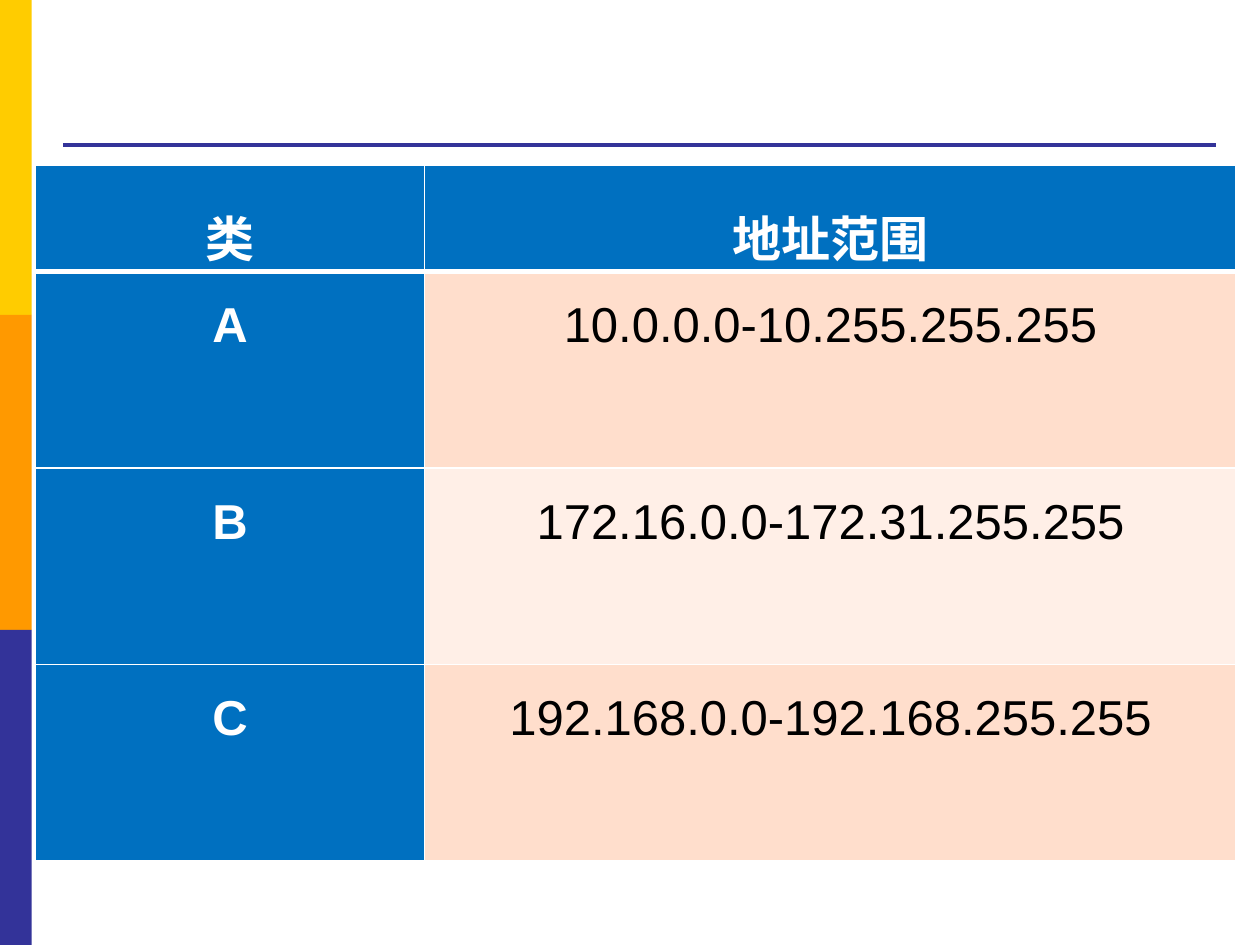
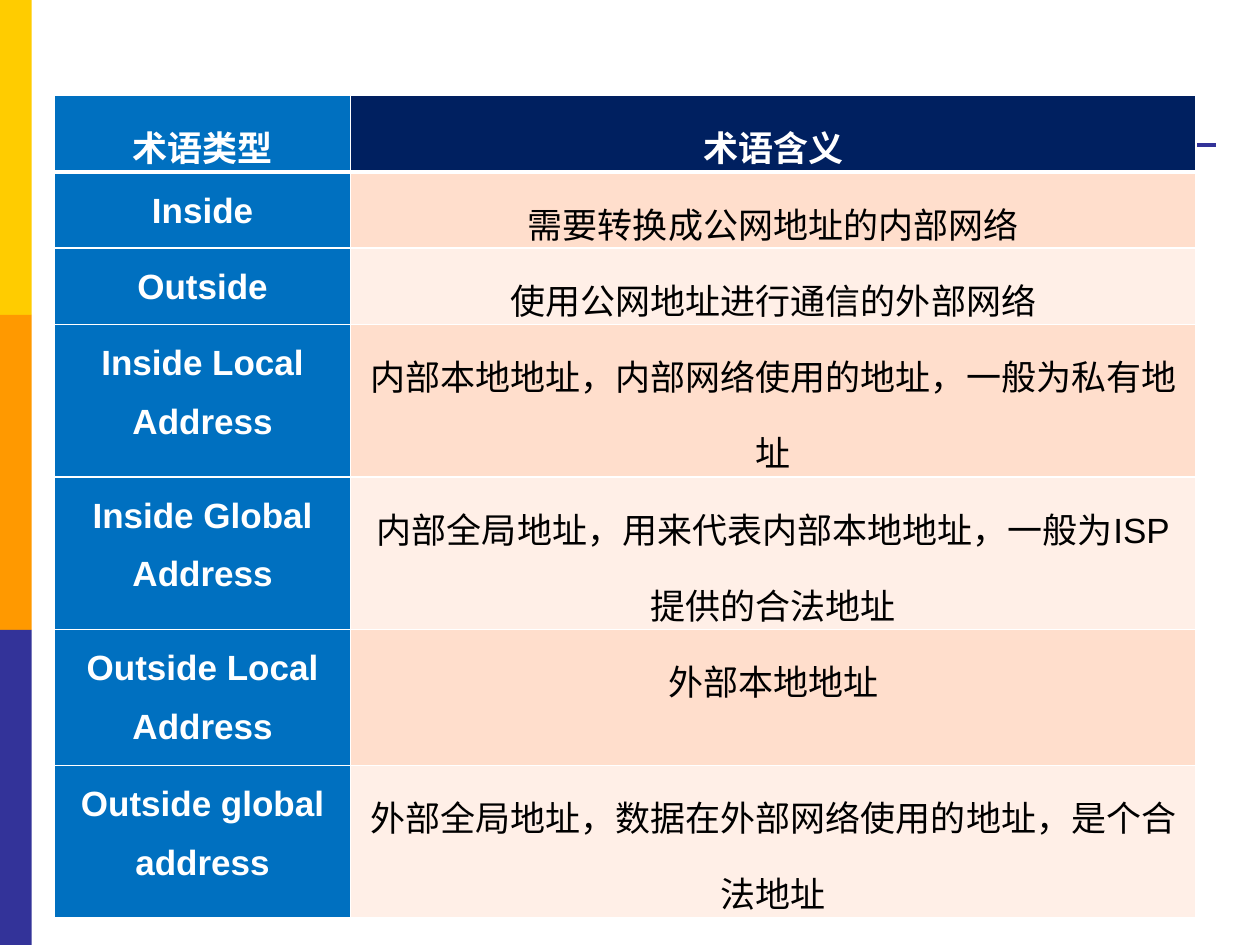
from lxml.etree import SubElement
from pptx import Presentation
from pptx.dml.color import RGBColor
from pptx.enum.shapes import MSO_CONNECTOR, MSO_SHAPE
from pptx.enum.text import PP_ALIGN
from pptx.oxml.ns import qn
from pptx.util import Cm, Pt

WHITE, BLACK = "FFFFFF", "000000"
GOLD, ORANGE, INDIGO = "FFCC00", "FF9900", "333399"
BLUE, NAVY = "0070C0", "002060"
BANDS = ("FFDECC", "FFEFE7")
WIDTH, HEIGHT = 25.4, 19.05


def color(code):
    return RGBColor.from_string(code)


class Deck:
    font = "Arial"

    def __init__(self):
        self.file = Presentation()
        self.file.slide_width = Cm(WIDTH)
        self.file.slide_height = Cm(HEIGHT)
        self.slide = None

    def page(self):
        self.slide = self.file.slides.add_slide(self.file.slide_layouts[6])
        part = HEIGHT / 3
        for spot, code in enumerate((GOLD, ORANGE, INDIGO)):
            self.block(0, spot * part, 0.64, part, code)
        self.rule(1.27, 24.51, 2.92)

    def block(self, left, top, width, height, code):
        shape = self.slide.shapes.add_shape(
            MSO_SHAPE.RECTANGLE, Cm(left), Cm(top), Cm(width), Cm(height))
        shape.shadow.inherit = False
        shape.fill.solid()
        shape.fill.fore_color.rgb = color(code)
        shape.line.fill.background()

    def rule(self, start, end, top):
        line = self.slide.shapes.add_connector(
            MSO_CONNECTOR.STRAIGHT, Cm(start), Cm(top), Cm(end), Cm(top))
        line.line.color.rgb = color(INDIGO)
        line.line.width = Pt(2.25)
        SubElement(line._element.spPr, qn("a:effectLst"))

    def table(self, left, top, widths, heights, rows, size, heads):
        frame = self.slide.shapes.add_table(
            len(rows), len(widths), Cm(left), Cm(top),
            Cm(sum(widths)), Cm(sum(heights)))
        grid = frame.table
        grid.horz_banding = False
        for col, width in zip(grid.columns, widths):
            col.width = Cm(width)
        for row, height in zip(grid.rows, heights):
            row.height = Cm(height)
        for y, row in enumerate(rows):
            for x, text in enumerate(row):
                label = y == 0 or x == 0
                if y == 0:
                    fill = heads[x]
                else:
                    fill = BLUE if label else BANDS[(y - 1) % 2]
                cell = grid.cell(y, x)
                self.border(cell, 3 if y == 1 else 1, 3 if y == 0 else 1)
                self.cell(cell, text, fill, size, label)

    def border(self, cell, upper, lower):
        props = cell._tc.get_or_add_tcPr()
        for side, width in zip("LRTB", (1, 1, upper, lower)):
            line = SubElement(props, qn("a:ln" + side), w=str(Pt(width)))
            fill = SubElement(line, qn("a:solidFill"))
            SubElement(fill, qn("a:srgbClr"), val=WHITE)

    def cell(self, cell, text, fill, size, label):
        cell.fill.solid()
        cell.fill.fore_color.rgb = color(fill)
        cell.margin_left = cell.margin_right = Cm(0.19)
        cell.margin_top = cell.margin_bottom = 0
        cell.text_frame.text = text
        para = cell.text_frame.paragraphs[0]
        para.alignment = PP_ALIGN.CENTER
        para.line_spacing = 1.5
        for run in para.runs:
            run.font.name = self.font
            run.font.size = Pt(size)
            run.font.bold = label
            run.font.color.rgb = color(WHITE if label else BLACK)


ranges = [
    ("类", "地址范围"),
    ("A", "10.0.0.0-10.255.255.255"),
    ("B", "172.16.0.0-172.31.255.255"),
    ("C", "192.168.0.0-192.168.255.255"),
]
terms = [
    ("术语类型", "术语含义"),
    ("Inside", "需要转换成公网地址的内部网络"),
    ("Outside", "使用公网地址进行通信的外部网络"),
    ("Inside Local Address", "内部本地地址，内部网络使用的地址，一般为私有地址"),
    ("Inside Global Address", "内部全局地址，用来代表内部本地地址，一般为ISP提供的合法地址"),
    ("Outside Local Address", "外部本地地址"),
    ("Outside global address", "外部全局地址，数据在外部网络使用的地址，是个合法地址"),
]

deck = Deck()
deck.page()
deck.table(0.71, 3.33, (7.85, 16.36), [1.88] + [3.96] * 3,
           ranges, 28, (BLUE, BLUE))
deck.page()
deck.table(1.1, 1.93, (5.97, 17.04), [1.3] * 3 + [2.74] * 4,
           terms, 20, (BLUE, NAVY))
deck.file.save("out.pptx")
